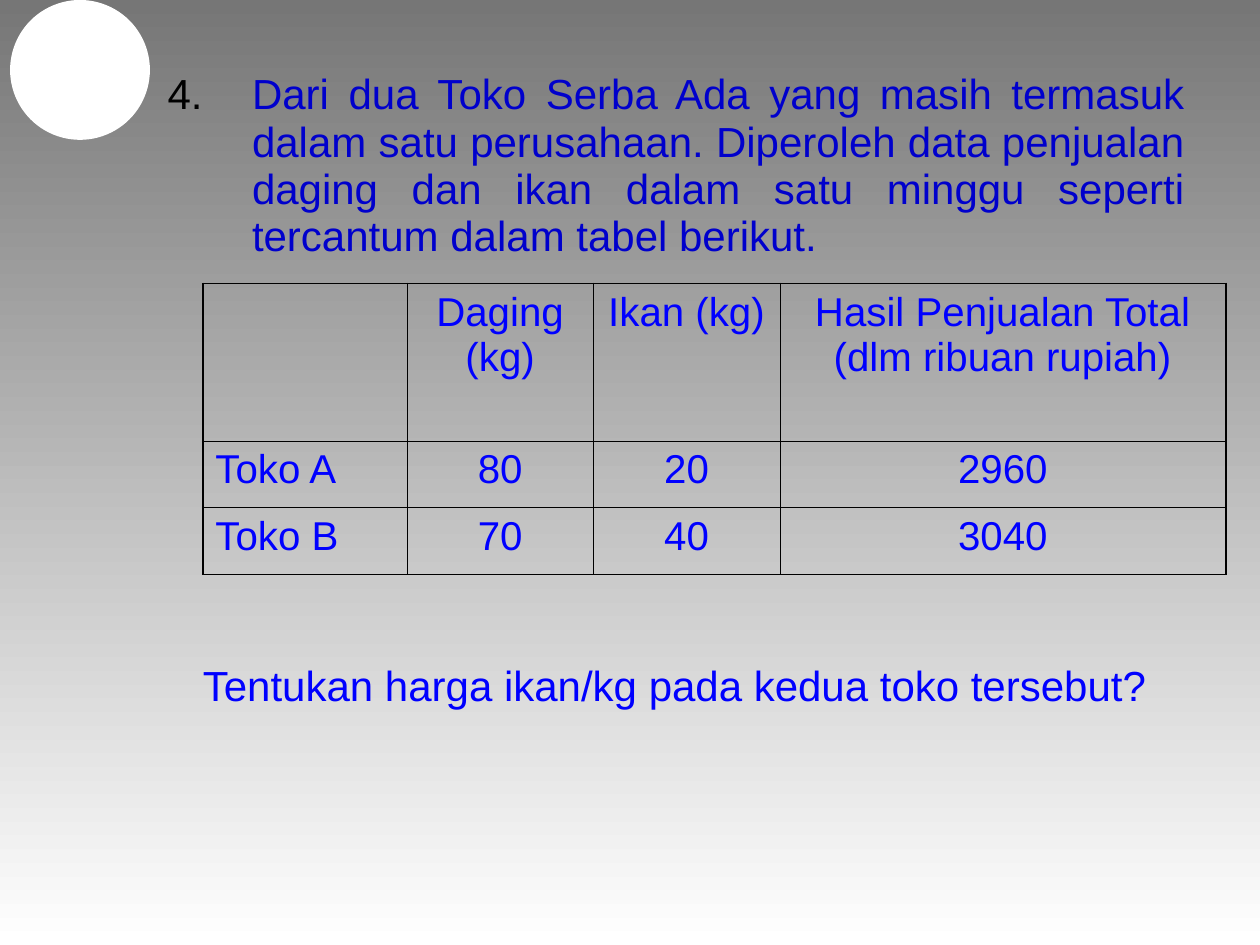
import dataclasses

import pptx
import pptx.dml.color
import pptx.enum.shapes
import pptx.enum.text
import pptx.oxml
import pptx.oxml.ns
import pptx.util

Inches = pptx.util.Inches
ALIGN = pptx.enum.text.PP_ALIGN


@dataclasses.dataclass(frozen=True)
class Theme:
    font: str = "Arial"
    body_size: int = 24
    table_size: int = 23
    black: str = "000000"
    white: str = "FFFFFF"
    blue: str = "0000FF"
    dark_blue: str = "0000CC"
    gray: str = "767676"
    outer_line: float = 1.08
    inner_line: float = 0.45


THEME = Theme()
PROBLEM = (
    "Dari dua Toko Serba Ada yang masih termasuk dalam satu perusahaan. "
    "Diperoleh data penjualan daging dan ikan dalam satu minggu seperti "
    "tercantum dalam tabel berikut."
)
QUESTION = "Tentukan harga ikan/kg pada kedua toko tersebut?"
SALES = [
    ["", "Daging (kg)", "Ikan (kg)", "Hasil Penjualan Total (dlm ribuan rupiah)"],
    ["Toko A", "80", "20", "2960"],
    ["Toko B", "70", "40", "3040"],
]
COLUMN_WIDTHS = [1.62, 1.48, 1.48, 3.54]
ROW_HEIGHTS = [1.25, 0.53, 0.53]


def rgb(color):
    return pptx.dml.color.RGBColor.from_string(color)


def element(xml):
    """Parse one DrawingML element whose tag takes the a: prefix."""
    tag, rest = xml[3:].split(" ", 1)
    return pptx.oxml.parse_xml(
        f"<a:{tag} {pptx.oxml.ns.nsdecls('a')} {rest}"
    )


def add_text(para, text, *, size, color, align=None):
    span = para.add_run()
    span.text = text
    span.font.name = THEME.font
    span.font.size = pptx.util.Pt(size)
    span.font.color.rgb = rgb(color)
    if align is not None:
        para.alignment = align


def format_paragraph(para, indent, hanging=0, before=0):
    """Set a justified, bullet-free paragraph with lengths in inches and points."""
    props = para._p.get_or_add_pPr()
    props.set("marL", str(Inches(indent)))
    props.set("indent", str(Inches(-hanging)))
    props.append(element("<a:buNone />"))
    if hanging:
        stop = f'<a:tab pos="{Inches(indent)}" algn="l"/>'
        props.append(element(f"<a:tabLst >{stop}</a:tabLst>"))
    para.alignment = ALIGN.JUSTIFY
    para.line_spacing = 0.94
    para.space_before = pptx.util.Pt(before)


def paint_background(page):
    fill = page.background.fill
    fill.gradient()
    fill.gradient_angle = 270
    for stop, color in zip(fill.gradient_stops, (THEME.gray, THEME.white)):
        stop.color.rgb = rgb(color)


def add_problem(page):
    box = page.placeholders[1]
    box.left, box.top, box.width, box.height = map(Inches, (1.23, 0.52, 8.27, 6.14))
    frame = box.text_frame
    frame.word_wrap = True
    frame.auto_size = pptx.enum.text.MSO_AUTO_SIZE.NONE

    para = frame.paragraphs[0]
    format_paragraph(para, 0.67, hanging=0.67)
    add_text(para, "4.\t", size=THEME.body_size, color=THEME.black)
    add_text(para, PROBLEM, size=THEME.body_size, color=THEME.dark_blue)

    para = frame.add_paragraph()
    format_paragraph(para, 0.28, before=230)
    add_text(para, QUESTION, size=THEME.body_size, color=THEME.blue)


def set_borders(cell, outer_sides):
    props = cell._tc.get_or_add_tcPr()
    for place, side in enumerate("LRTB"):
        points = THEME.outer_line if side in outer_sides else THEME.inner_line
        props.insert(place, element(
            f'<a:ln{side} w="{pptx.util.Pt(points)}"><a:solidFill>'
            f'<a:srgbClr val="{THEME.black}"/></a:solidFill></a:ln{side}>'
        ))


def add_sales_table(page):
    last_row, last_column = len(ROW_HEIGHTS) - 1, len(COLUMN_WIDTHS) - 1
    table = page.shapes.add_table(
        len(ROW_HEIGHTS), len(COLUMN_WIDTHS), Inches(1.61), Inches(2.25),
        Inches(sum(COLUMN_WIDTHS)), Inches(sum(ROW_HEIGHTS)),
    ).table
    table.horz_banding = False
    table.first_row = False
    for column, width in zip(table.columns, COLUMN_WIDTHS):
        column.width = Inches(width)
    for row, height in zip(table.rows, ROW_HEIGHTS):
        row.height = Inches(height)

    for r, values in enumerate(SALES):
        for c, value in enumerate(values):
            cell = table.cell(r, c)
            cell.fill.background()
            edges = {"L": c == 0, "R": c == last_column,
                     "T": r == 0, "B": r == last_row}
            set_borders(cell, [side for side, outer in edges.items() if outer])
            if value:
                add_text(cell.text_frame.paragraphs[0], value,
                         size=THEME.table_size, color=THEME.blue,
                         align=ALIGN.CENTER if c else ALIGN.LEFT)


def add_circle(page):
    circle = page.shapes.add_shape(
        pptx.enum.shapes.MSO_SHAPE.OVAL,
        Inches(0.08), 0, Inches(1.11), Inches(1.11),
    )
    circle.shadow.inherit = False
    circle.fill.solid()
    circle.fill.fore_color.rgb = rgb(THEME.white)
    circle.line.fill.background()


def main():
    deck = pptx.Presentation()
    deck.slide_width, deck.slide_height = Inches(10), Inches(7.5)
    page = deck.slides.add_slide(deck.slide_layouts[1])
    title = page.shapes.title._element
    title.getparent().remove(title)
    paint_background(page)
    add_problem(page)
    add_sales_table(page)
    add_circle(page)
    deck.save("out.pptx")


if __name__ == "__main__":
    main()
